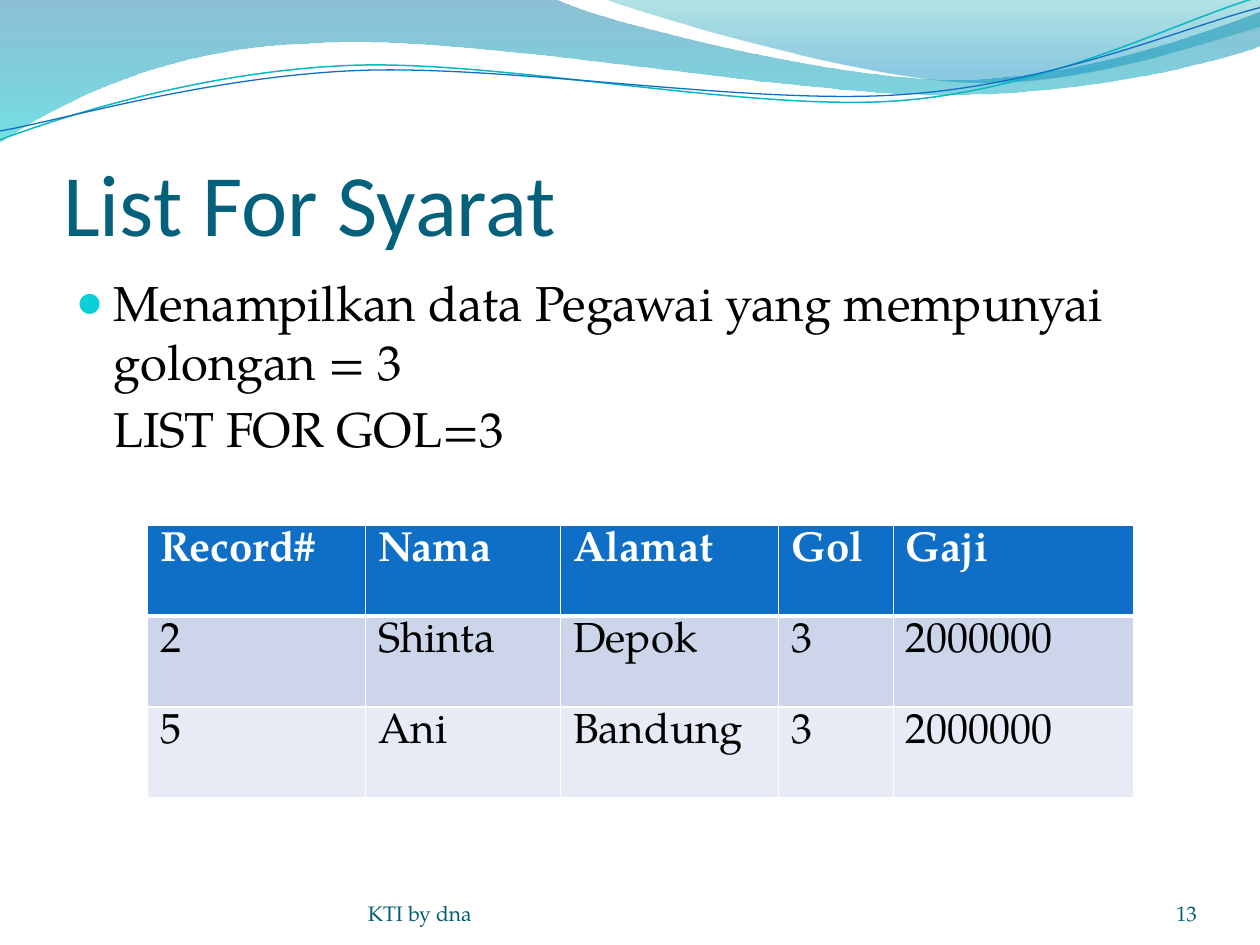
from math import cos, radians, sin

from lxml import etree
from pptx import Presentation
from pptx.dml.color import RGBColor
from pptx.enum.text import MSO_ANCHOR, MSO_AUTO_SIZE, PP_ALIGN
from pptx.oxml.ns import qn
from pptx.util import Inches, Pt

BOTTOM = MSO_ANCHOR.BOTTOM
FIXED = MSO_AUTO_SIZE.NONE
LEFT, RIGHT = PP_ALIGN.LEFT, PP_ALIGN.RIGHT
SERIF, SANS = "TeX Gyre Pagella", "Calibri"

TITLE = "List For Syarat"
BODY = [
    ("Menampilkan data Pegawai yang mempunyai golongan = 3", "●", 0),
    ("LIST FOR GOL=3", None, 5),
]
FOOTERS = [
    ("KTI by dna", (2.92, 6.95, 3.67, 0.4), LEFT),
    ("13", (8.67, 6.95, 0.83, 0.4), RIGHT),
]
RECORDS = [
    ("Record#", "Nama", "Alamat", "Gol", "Gaji"),
    ("2", "Shinta", "Depok", "3", "2000000"),
    ("5", "Ani", "Bandung", "3", "2000000"),
]
COLUMN_WIDTHS = [1.73, 1.55, 1.73, 0.91, 1.91]
ROW_HEIGHT = 0.72
ROW_FILLS = ["0F6FC6", "CCD5EA", "E7EBF5"]

WAVES = [
    {"area": (-0.01, -0.01, 10.02, 1.14), "turn": 0,
     "outline": [(0, 0), (4.4, -0.01), (4.76, 0.17, 6.64, 0.63, 7.58, 0.63),
                 (8.53, 0.63, 9.58, 0.26, 10, 0.09), (10.01, 0.36),
                 (9.83, 0.44, 8.7, 0.76, 7.46, 0.75),
                 (6.22, 0.75, 3.82, 0.28, 2.57, 0.34),
                 (1.29, 0.36, 0.46, 0.83, -0.01, 1.13), (0, 0)],
     "stops": [(0, "0074A1", 45), (1, "00C6CF", 55)]},
    {"area": (4.79, -0.01, 5.21, 0.7), "turn": 0,
     "outline": [(4.79, -0.01), (5.09, 0.11, 6.82, 0.62, 7.69, 0.65),
                 (8.56, 0.69, 9.61, 0.32, 10, 0.21), (10, 0), (4.79, -0.01)],
     "stops": [(0, "00A1A9", 30), (0.8, "008BBF", 45)]},
    {"area": (-0.02, 0.22, 10.02, 0.71), "turn": 357.3,
     "outline": [(0, 1.11), (0.48, 0.93, 1.58, 0.57, 2.77, 0.52),
                 (3.95, 0.47, 5.93, 0.89, 7.13, 0.8),
                 (8.33, 0.71, 9.38, 0.15, 9.98, -0.02)],
     "line": ("0AB8BF", 0.85)},
    {"area": (-0.02, 0.3, 10.03, 0.58), "turn": 357.3,
     "outline": [(0, 1.04), (0.47, 0.96, 1.64, 0.61, 2.83, 0.56),
                 (4.03, 0.51, 5.97, 0.84, 7.17, 0.75),
                 (8.36, 0.67, 9.41, 0.21, 10, 0.06)],
     "line": ("0F6FC6", 0.75)},
]


def color(value):
    """Turn a hex string into a colour."""
    return RGBColor.from_string(value)


def apply(target, values):
    """Set attributes from a dict of format values."""
    for name, value in values.items():
        setattr(target, name, value)


def add_element(parent, tag, **attributes):
    """Append a drawing element with its attributes."""
    return etree.SubElement(parent, qn(tag), attributes)


def place(shape, area):
    """Move and size a shape in inches."""
    apply(shape, dict(zip(("left", "top", "width", "height"), map(Inches, area))))


def write(para, text, size, fill, name=SERIF, bold=False):
    """Add one formatted span to a paragraph."""
    span = para.add_run()
    span.text = text
    apply(span.font, {"size": Pt(size), "name": name, "bold": bold})
    span.font.color.rgb = color(fill)


def to_local(x, y, area, turn):
    """Turn a slide point into a point of the unrotated shape area."""
    left, top, width, height = area
    angle = radians(-turn)
    across, down = x - left - width / 2, y - top - height / 2
    return (Inches(width / 2 + across * cos(angle) - down * sin(angle)),
            Inches(height / 2 + across * sin(angle) + down * cos(angle)))


def bend(shape, wave):
    """Replace the straight outline of a wave by its curves."""
    outline = next(shape.element.iter(qn("a:path")))
    for step in list(outline):
        outline.remove(step)
    outline.set("w", str(shape.width))
    outline.set("h", str(shape.height))
    for index, segment in enumerate(wave["outline"]):
        tag = "a:cubicBezTo" if len(segment) == 6 else "a:lnTo"
        step = add_element(outline, tag if index else "a:moveTo")
        for x, y in zip(segment[::2], segment[1::2]):
            across, down = to_local(x, y, wave["area"], wave["turn"])
            add_element(step, "a:pt", x=str(across), y=str(down))
    if "stops" in wave:
        add_element(outline, "a:close")
    else:
        outline.set("fill", "none")


def add_wave(page, wave):
    """Draw one wave as a gradient area or a thin line."""
    ends = [(Inches(segment[-2]), Inches(segment[-1])) for segment in wave["outline"]]
    builder = page.shapes.build_freeform(*ends[0])
    builder.add_line_segments(ends[1:], close=False)
    shape = builder.convert_to_shape()
    place(shape, wave["area"])
    shape.rotation = wave["turn"]
    shape.shadow.inherit = False
    bend(shape, wave)
    if "line" in wave:
        stroke, width = wave["line"]
        shape.fill.background()
        shape.line.color.rgb = color(stroke)
        shape.line.width = Pt(width)
        return
    shape.line.fill.background()
    shape.fill.gradient()
    shape.fill.gradient_angle = 270
    for stop, (position, value, _) in zip(shape.fill.gradient_stops, wave["stops"]):
        stop.position = position
        stop.color.rgb = color(value)
    tints = shape.element.spPr.iter(qn("a:srgbClr"))
    for tint, (_, _, opacity) in zip(tints, wave["stops"]):
        add_element(tint, "a:alpha", val=str(opacity * 1000))


def add_title(page):
    """Fill the title placeholder."""
    title = page.shapes.title
    place(title, (0.5, 0.77, 9, 1.25))
    apply(title.text_frame, {"vertical_anchor": BOTTOM, "margin_left": 0, "margin_right": 0,
                             "margin_bottom": 0, "auto_size": FIXED})
    para = title.text_frame.paragraphs[0]
    para.alignment = LEFT
    write(para, TITLE, 50, "04617B", SANS)


def add_body(page):
    """Fill the body placeholder."""
    body = page.placeholders[1]
    place(body, (0.5, 2.12, 9, 4.8))
    frame = body.text_frame
    apply(frame, {"auto_size": FIXED, "margin_top": Inches(0.04)})
    for index, (text, bullet, gap) in enumerate(BODY):
        para = frame.add_paragraph() if index else frame.paragraphs[0]
        properties = para._p.get_or_add_pPr()
        properties.set("marL", str(Inches(0.3)))
        properties.set("indent", str(Inches(-0.3) if bullet else 0))
        if bullet:
            tint = add_element(properties, "a:buClr")
            add_element(tint, "a:srgbClr", val="0BD0D9")
            add_element(properties, "a:buSzPct", val="95000")
            add_element(properties, "a:buChar", char=bullet)
        else:
            add_element(properties, "a:buNone")
        para.space_before = Pt(gap)
        write(para, text, 28, "000000")


def add_footer(page, text, area, alignment):
    """Add one footer text."""
    box = page.shapes.add_textbox(*map(Inches, area))
    apply(box.text_frame, {"word_wrap": True, "vertical_anchor": BOTTOM, "margin_left": 0,
                           "margin_right": 0, "margin_top": 0, "margin_bottom": 0})
    para = box.text_frame.paragraphs[0]
    para.alignment = alignment
    write(para, text, 12, "045D75")


def add_borders(cell, top, bottom):
    """Give a cell white borders."""
    properties = cell._tc.get_or_add_tcPr()
    for side, width in (("L", 1), ("R", 1), ("T", top), ("B", bottom)):
        line = add_element(properties, f"a:ln{side}", w=str(Pt(width)))
        add_element(add_element(line, "a:solidFill"), "a:srgbClr", val="FFFFFF")


def add_records(page):
    """Add the table of employee records."""
    table = page.shapes.add_table(
        len(RECORDS), len(COLUMN_WIDTHS), Inches(1.17), Inches(4.17),
        Inches(sum(COLUMN_WIDTHS)), Inches(ROW_HEIGHT * len(RECORDS))).table
    for column, width in zip(table.columns, COLUMN_WIDTHS):
        column.width = Inches(width)
    for index, (record, fill) in enumerate(zip(RECORDS, ROW_FILLS)):
        header = index == 0
        for cell, text in zip(table.rows[index].cells, record):
            add_borders(cell, 3 if index == 1 else 1, 3 if header else 1)
            cell.fill.solid()
            cell.fill.fore_color.rgb = color(fill)
            write(cell.text_frame.paragraphs[0], text, 24,
                  "FFFFFF" if header else "000000", bold=header)


def main():
    """Build the slide and save it."""
    deck = Presentation()
    apply(deck, {"slide_width": Inches(10), "slide_height": Inches(7.5)})
    page = deck.slides.add_slide(deck.slide_layouts[1])
    for wave in WAVES:
        add_wave(page, wave)
    add_title(page)
    add_body(page)
    for footer in FOOTERS:
        add_footer(page, *footer)
    add_records(page)
    deck.save("out.pptx")


if __name__ == "__main__":
    main()
